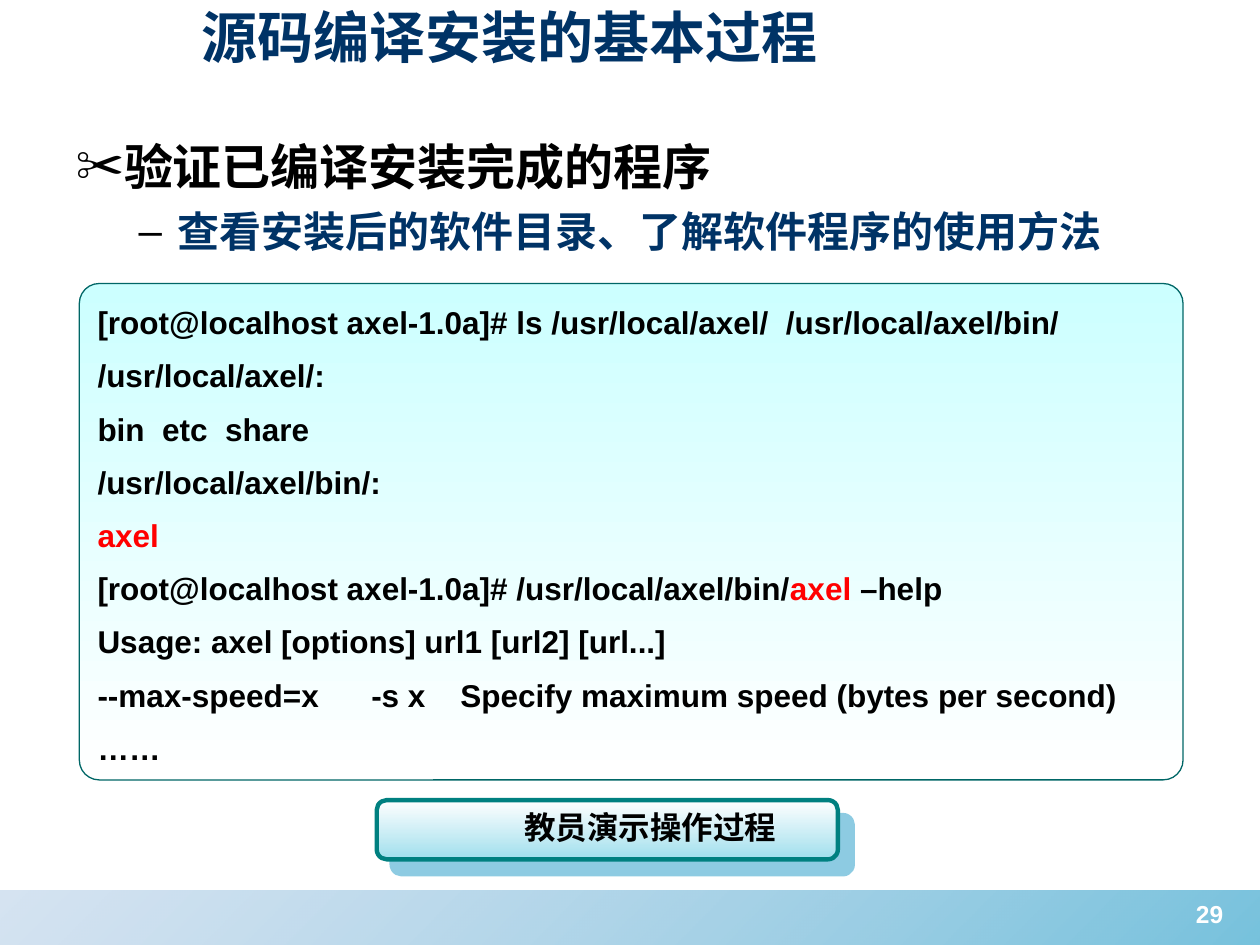
from lxml import etree
from pptx import Presentation, util as u
from pptx.dml.color import RGBColor
from pptx.enum import shapes, text
from pptx.oxml.ns import qn

FONT = "Arial"
COLORS = {
    "navy": "003366", "black": "000000", "white": "FFFFFF", "red": "FF0000",
    "cyan": "CCFFFF", "dark teal": "006666", "teal": "008080", "aqua": "A1DFED",
    "bar left": "88B0D8", "bar right": "1C99C6", "text shadow": "C0C0C0",
}
TITLE = "源码编译安装的基本过程"
BULLETS = [
    {"text": "验证已编译安装完成的程序", "level": 0, "bullet": "✂", "size": 28,
     "color": "black", "before": 7, "margin": 0.38, "hang": 0.38},
    {"text": "查看安装后的软件目录、了解软件程序的使用方法", "level": 1, "bullet": "–", "size": 24,
     "color": "navy", "before": 6, "margin": 0.81, "hang": 0.31},
]
CONSOLE = [
    [("[root@localhost axel-1.0a]# ls /usr/local/axel/  /usr/local/axel/bin/", "black")],
    [("/usr/local/axel/:", "black")],
    [("bin  etc  share", "black")],
    [("/usr/local/axel/bin/:", "black")],
    [("axel", "red")],
    [("[root@localhost axel-1.0a]# /usr/local/axel/bin/", "black"), ("axel", "red"),
     (" –help", "black")],
    [("Usage: axel [options] url1 [url2] [url...]", "black")],
    [("--max-speed=x      -s x    Specify maximum speed (bytes per second)", "black")],
    [("……", "black")],
]
BUTTON = "教员演示操作过程"
PAGE = "29"
BOXES = {
    "title": (15, -0.4, 80.7, 8.4),
    "body": (5, 13.73, 90, 74),
    "console": (6.3, 30, 87.6, 52.53),
    "button": (29.9, 84.67, 36.6, 6.27),
    "button text": (40.4, 84.8, 22.4, 5.33),
    "bar": (0, 94.27, 100, 5.73),
    "page": (92.4, 94.53, 7.2, 6.93),
}

presentation = Presentation()
presentation.slide_width, presentation.slide_height = u.Inches(10), u.Inches(7.5)
slide = presentation.slides.add_slide(presentation.slide_layouts[1])


def box(name):
    sides = (presentation.slide_width, presentation.slide_height) * 2
    return [round(side * share / 100) for side, share in zip(sides, BOXES[name])]


def color(name):
    return RGBColor.from_string(COLORS[name])


def add_alpha(element, percent):
    etree.SubElement(element, qn("a:alpha"), val=str(percent * 1000))


def add_shadow(effects, name, distance, percent):
    shadow = etree.SubElement(effects, qn("a:outerShdw"), dist=str(u.Pt(distance)),
                              dir="2700000", algn="tl", rotWithShape="0")
    add_alpha(etree.SubElement(shadow, qn("a:srgbClr"), val=COLORS[name]), percent)


def style(paragraph, size, name, shadow=False):
    font = paragraph.font
    font.size, font.bold, font.color.rgb = u.Pt(size), True, color(name)
    if shadow:
        properties = paragraph._p.pPr.find(qn("a:defRPr"))
        add_shadow(etree.SubElement(properties, qn("a:effectLst")), "text shadow", 2, 100)
    font.name = FONT


def place(shape, name):
    shape.left, shape.top, shape.width, shape.height = box(name)


def add_panel(parent, kind, name, stops, angle, line=None, width=0):
    shape = parent.add_shape(kind, *box(name))
    shape.shadow.inherit = False
    shape.fill.gradient()
    shape.fill.gradient_angle = angle
    for stop, stop_color in zip(shape.fill.gradient_stops, stops):
        stop.color.rgb = color(stop_color)
    if line:
        shape.line.color.rgb, shape.line.width = color(line), u.Pt(width)
    else:
        shape.line.fill.background()
    return shape


def add_label(parent, name, words, size, text_color, shadow=False):
    frame = parent.add_textbox(*box(name)).text_frame
    frame.word_wrap = False
    paragraph = frame.paragraphs[0]
    paragraph.text, paragraph.alignment = words, text.PP_ALIGN.CENTER
    style(paragraph, size, text_color, shadow)


def set_indent(paragraph, margin, hang):
    properties = paragraph._p.get_or_add_pPr()
    properties.set("marL", str(u.Inches(margin)))
    properties.set("indent", str(-u.Inches(hang)))
    return properties


bar = add_panel(slide.shapes, shapes.MSO_SHAPE.RECTANGLE, "bar", ("bar left", "bar right"), 315)
for element, percent in zip(bar._element.spPr.iter(qn("a:srgbClr")), (35, 60)):
    add_alpha(element, percent)
add_label(slide.shapes, "page", PAGE, 14, "white")

title = slide.shapes.title
place(title, "title")
title.text_frame.text = TITLE
title.text_frame.vertical_anchor = text.MSO_ANCHOR.MIDDLE
title.text_frame.auto_size = text.MSO_AUTO_SIZE.NONE
title.text_frame.paragraphs[0].alignment = text.PP_ALIGN.LEFT
style(title.text_frame.paragraphs[0], 32, "navy")

body = slide.placeholders[1]
place(body, "body")
body.text_frame.text = "\n".join(item["text"] for item in BULLETS)
body.text_frame.auto_size = text.MSO_AUTO_SIZE.NONE
for paragraph, item in zip(body.text_frame.paragraphs, BULLETS):
    paragraph.level, paragraph.space_before = item["level"], u.Pt(item["before"])
    properties = set_indent(paragraph, item["margin"], item["hang"])
    bullet_color = etree.SubElement(properties, qn("a:buClr"))
    etree.SubElement(bullet_color, qn("a:srgbClr"), val=COLORS["black"])
    etree.SubElement(properties, qn("a:buFont"), typeface=FONT)
    etree.SubElement(properties, qn("a:buChar"), char=item["bullet"])
    style(paragraph, item["size"], item["color"], shadow=True)

console = add_panel(slide.shapes, shapes.MSO_SHAPE.ROUNDED_RECTANGLE, "console",
                    ("cyan", "white"), 270, "dark teal", 0.75)
console.adjustments[0] = 0.04
frame = console.text_frame
frame.vertical_anchor = text.MSO_ANCHOR.TOP
for index, line in enumerate(CONSOLE):
    paragraph = frame.add_paragraph() if index else frame.paragraphs[0]
    paragraph.alignment = text.PP_ALIGN.LEFT
    paragraph.line_spacing, paragraph.space_before = 1.2, u.Pt(4.5)
    set_indent(paragraph, 0.38, 0.38)
    style(paragraph, 18, "black")
    for words, run_color in line:
        run = paragraph.add_run()
        run.text, run.font.color.rgb = words, color(run_color)

group = slide.shapes.add_group_shape()
button = add_panel(group.shapes, shapes.MSO_SHAPE.FLOWCHART_ALTERNATE_PROCESS, "button",
                   ("white", "aqua"), 270, "teal", 2.5)
add_shadow(button._element.spPr.find(qn("a:effectLst")), "bar right", 12.1, 50)
add_label(group.shapes, "button text", BUTTON, 18, "black", shadow=True)

presentation.save("out.pptx")
